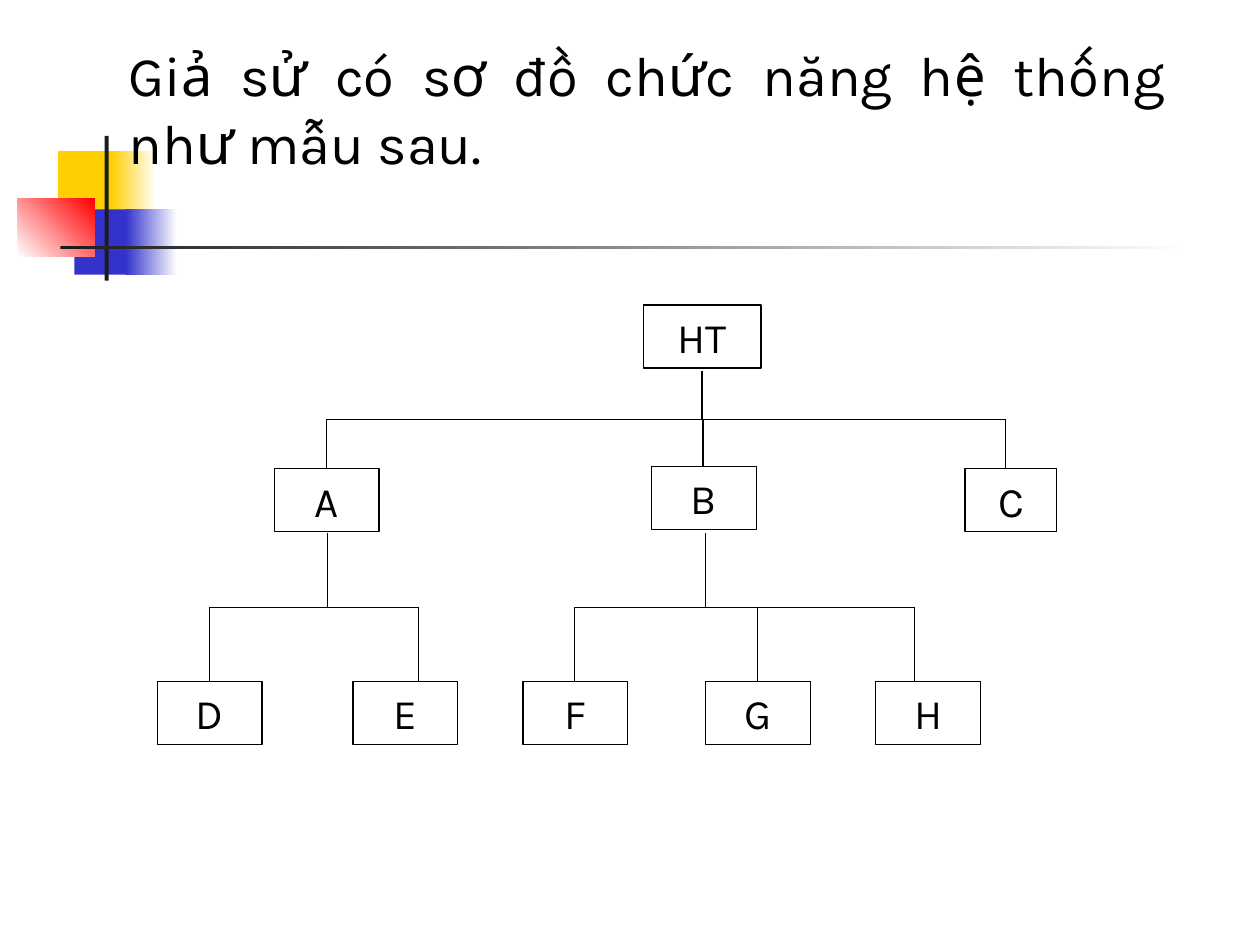
from pptx import Presentation
from pptx import util as u
from pptx.dml.color import RGBColor
from pptx.enum import shapes, text
from pptx.oxml.ns import qn
from lxml import etree

BLACK = RGBColor(0x00, 0x00, 0x00)
WHITE = RGBColor(0xFF, 0xFF, 0xFF)
CHARCOAL = RGBColor(0x1C, 0x1C, 0x1C)
YELLOW = RGBColor(0xFF, 0xCF, 0x01)
BLUE = RGBColor(0x33, 0x33, 0xCC)
RED = RGBColor(0xFF, 0x00, 0x00)

BOX_HEIGHT = 1.27
ROOT_TOP, MIDDLE_TOP, LEAF_TOP = 6.15, 9.45, 13.74
LEAVES = {"D": 4.23, "E": 8.17, "F": 11.6, "G": 15.28, "H": 18.71}


class ChartSlide:
    """Draws a function chart on one slide in a single style."""

    font_name = "Karla"
    line_width = u.Pt(0.75)

    def __init__(self, page):
        self.page = page

    def rectangle(self, left, top, width, height):
        box = self.page.shapes.add_shape(
            shapes.MSO_SHAPE.RECTANGLE,
            u.Cm(left), u.Cm(top), u.Cm(width), u.Cm(height))
        box.shadow.inherit = False
        box.line.fill.background()
        return box

    def solid(self, left, top, width, height, color):
        box = self.rectangle(left, top, width, height)
        box.fill.solid()
        box.fill.fore_color.rgb = color

    def fade(self, left, top, width, height, start, end, angle=0):
        fill = self.rectangle(left, top, width, height).fill
        fill.gradient()
        fill.gradient_angle = angle
        for stop, color, position in zip(fill.gradient_stops, (start, end), (0, 1)):
            stop.color.rgb = color
            stop.position = position

    def set_text(self, frame, words, size, alignment):
        frame.word_wrap = True
        para = frame.paragraphs[0]
        para.text = words
        para.alignment = alignment
        para.font.name = self.font_name
        para.font.size = u.Pt(size)
        para.font.color.rgb = BLACK

    def title(self, left, top, width, height, words):
        box = self.page.shapes.add_textbox(
            u.Cm(left), u.Cm(top), u.Cm(width), u.Cm(height))
        self.set_text(box.text_frame, words, 32, text.PP_ALIGN.JUSTIFY)

    def node(self, label, center, top, width=2.11):
        box = self.rectangle(center - width / 2, top, width, BOX_HEIGHT)
        box.fill.solid()
        box.fill.fore_color.rgb = WHITE
        box.line.color.rgb = BLACK
        box.line.width = self.line_width
        box.text_frame.vertical_anchor = text.MSO_ANCHOR.MIDDLE
        self.set_text(box.text_frame, label, 24, text.PP_ALIGN.CENTER)

    def line(self, x1, y1, x2, y2):
        connector = self.page.shapes.add_connector(
            shapes.MSO_CONNECTOR.STRAIGHT,
            u.Cm(x1), u.Cm(y1), u.Cm(x2), u.Cm(y2))
        connector.line.color.rgb = BLACK
        connector.line.width = self.line_width
        etree.SubElement(connector._element.spPr, qn("a:effectLst"))

    def branch(self, stem, top, bottom, drops):
        middle = (top + bottom) / 2
        self.line(stem, top, stem, middle)
        self.line(drops[0], middle, drops[-1], middle)
        for drop in drops:
            self.line(drop, middle, drop, bottom)


def main():
    deck = Presentation()
    deck.slide_width, deck.slide_height = u.Cm(25.4), u.Cm(19.05)
    chart = ChartSlide(deck.slides.add_slide(deck.slide_layouts[6]))

    chart.solid(1.17, 3.05, 1.22, 1.32, YELLOW)
    chart.fade(2.24, 3.05, 0.91, 1.32, YELLOW, WHITE)
    chart.solid(1.5, 4.22, 1.17, 1.32, BLUE)
    chart.fade(2.54, 4.22, 1.02, 1.32, BLUE, WHITE)
    chart.fade(0.36, 4.01, 1.55, 1.17, WHITE, RED, 45)
    chart.solid(2.11, 2.74, 0.08, 2.92, CHARCOAL)
    chart.fade(1.22, 4.95, 22.86, 0.08, CHARCOAL, WHITE)
    chart.title(2.34, 0.7, 21.39, 3.2,
                "Giả sử có sơ đồ chức năng hệ thống như mẫu sau.")

    chart.branch(14.15, 7.47, MIDDLE_TOP, (6.58, 14.17, 20.27))
    chart.branch(6.6, 10.74, LEAF_TOP, (4.22, 8.43))
    chart.branch(14.22, 10.74, LEAF_TOP, (11.58, 15.27, 18.44))

    chart.node("HT", 14.16, ROOT_TOP, 2.36)
    chart.node("A", 6.59, MIDDLE_TOP)
    chart.node("B", 14.19, 9.4)
    chart.node("C", 20.38, MIDDLE_TOP, 1.85)
    for label, center in LEAVES.items():
        chart.node(label, center, LEAF_TOP)

    deck.save("out.pptx")


if __name__ == "__main__":
    main()
